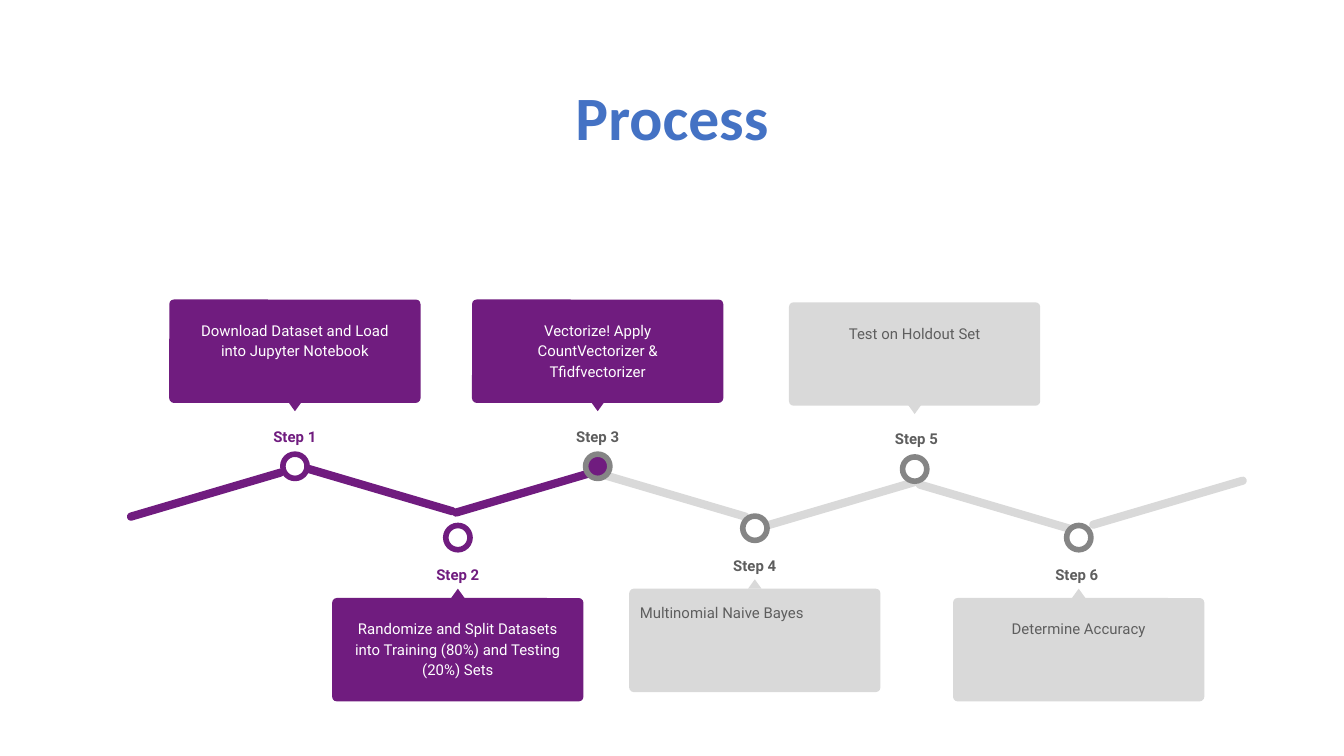
"""Build the Process slide: a zigzag timeline with six step callouts."""
import pptx
import pptx.util
import pptx.dml.color
import pptx.enum.shapes
import pptx.enum.text

Pt = pptx.util.Pt
MSO = pptx.enum.shapes.MSO_SHAPE
COLORS = {"title": "4472C4", "purple": "701C7F", "light": "D9D9D9",
          "ring": "858585", "gray": "5E5E5E", "white": "FFFFFF"}

TITLE = "Process"
STEPS = [
    {"text": "Download Dataset and Load into Jupyter Notebook",
     "x": 158, "top": 160.5, "state": "done"},
    {"text": "Randomize and Split Datasets into Training (80%) and Testing (20%) Sets",
     "x": 245.3, "top": 320.4, "state": "done"},
    {"text": "Vectorize! Apply CountVectorizer & Tfidfvectorizer",
     "x": 320.2, "top": 160.5, "state": "current"},
    {"text": "Multinomial Naive Bayes", "x": 404.4, "top": 315.4,
     "state": "todo", "shift": (-17.7, -3.6)},
    {"text": "Test on Holdout Set", "x": 490, "top": 162, "state": "todo", "label_dx": 1},
    {"text": "Determine Accuracy", "x": 577.9, "top": 320.4, "state": "todo", "label_dx": -1},
]
STATES = {
    "done": {"box": "purple", "text": "white", "label": "purple", "ring": "purple", "dot": "white"},
    "current": {"box": "purple", "text": "white", "label": "gray", "ring": "ring", "dot": "purple"},
    "todo": {"box": "light", "text": "gray", "label": "gray", "ring": "ring", "dot": "white"},
}
BARS = [(110.2, 265, "purple"), (202.3, 262.1, "purple"), (284.4, 262.8, "purple"),
        (359.3, 265, "light"), (451.4, 269.6, "light"), (532.8, 271.4, "light"),
        (625.7, 269.3, "light")]
BAR_W, BAR_H, BAR_TILT = 87.8, 4.4, 16.4
BOX_W, BOX_H, INSET = 134.6, 55.4, 3
TIP_W, TIP_H, DOT = 7.2, 5, 13
LABEL_W, LABEL_H = 54.7, 21.6
ABOVE = {"tip": 54.8, "label": 59.8, "dot": 82.8}
BELOW = {"tip": -5, "label": -25.9, "dot": -38.9}


def rgb(name):
    """Return the named colour."""
    return pptx.dml.color.RGBColor.from_string(COLORS[name])


def write(shape, text, size=8, font="Roboto", color="gray", bold=False, spacing=1.15, after=16):
    """Write one centred, formatted paragraph in a shape."""
    tf = shape.text_frame
    tf.word_wrap = True
    tf.auto_size = pptx.enum.text.MSO_AUTO_SIZE.NONE
    tf.vertical_anchor = pptx.enum.text.MSO_ANCHOR.TOP
    tf.margin_left = tf.margin_right = tf.margin_top = tf.margin_bottom = Pt(7.2)
    p = tf.paragraphs[0]
    p.alignment = pptx.enum.text.PP_ALIGN.CENTER
    p.line_spacing = spacing
    p.space_before, p.space_after = Pt(0), Pt(after)
    r = p.add_run()
    r.text = text
    r.font.size, r.font.name, r.font.bold = Pt(size), font, bold
    r.font.color.rgb = rgb(color)


def frame(x, top, w, h):
    """Return the lengths of a frame centred on x."""
    return Pt(x - w / 2), Pt(top), Pt(w), Pt(h)


def draw(shapes, kind, place, fill, line=None, adj=None, rotation=0):
    """Add a filled preset shape."""
    sp = shapes.add_shape(kind, *place)
    sp.shadow.inherit = False
    sp.fill.solid()
    sp.fill.fore_color.rgb = rgb(fill)
    if line:
        sp.line.color.rgb = rgb(line)
        sp.line.width = Pt(3)
    else:
        sp.line.fill.background()
    if adj is not None:
        sp.adjustments[0] = adj
    sp.rotation = rotation
    return sp


def add_step(s, number, step):
    """Add one grouped step: box, tip, text, label and dot."""
    x, top, look = step["x"], step["top"], STATES[step["state"]]
    above = number % 2 == 1
    offset = ABOVE if above else BELOW
    dx, dy = step.get("shift", (0, 0))
    shapes = s.shapes.add_group_shape().shapes
    draw(shapes, MSO.ROUNDED_RECTANGLE, frame(x, top, BOX_W, BOX_H), look["box"], adj=0.045)
    draw(shapes, MSO.ISOSCELES_TRIANGLE, frame(x, top + offset["tip"], TIP_W, TIP_H),
         look["box"], rotation=180 if above else 0)
    draw(shapes, MSO.OVAL, frame(x, top + offset["dot"], DOT, DOT), look["dot"], line=look["ring"])
    body = shapes.add_textbox(*frame(x + dx, top + INSET + dy,
                                     BOX_W - 2 * INSET, BOX_H - 2 * INSET))
    write(body, step["text"], color=look["text"])
    label = shapes.add_textbox(*frame(x + step.get("label_dx", 0), top + offset["label"],
                                      LABEL_W, LABEL_H))
    write(label, f"Step {number}", color=look["label"], bold=True)


def main():
    """Build and save the slide."""
    prs = pptx.Presentation()
    prs.slide_width, prs.slide_height = Pt(720), Pt(405)
    s = prs.slides.add_slide(prs.slide_layouts[5])
    title = s.shapes.title
    title.left, title.top, title.width, title.height = frame(360, 35.3, 671, 45.4)
    write(title, TITLE, size=33, font="Calibri", color="title", bold=True, spacing=1, after=0)
    for i, (x, y, color) in reversed(list(enumerate(BARS))):
        draw(s.shapes, MSO.ROUNDED_RECTANGLE, frame(x, y - BAR_H / 2, BAR_W, BAR_H), color,
             adj=0.5, rotation=BAR_TILT if i % 2 else -BAR_TILT)
    for number, step in enumerate(STEPS, 1):
        add_step(s, number, step)
    prs.save("out.pptx")


if __name__ == "__main__":
    main()
